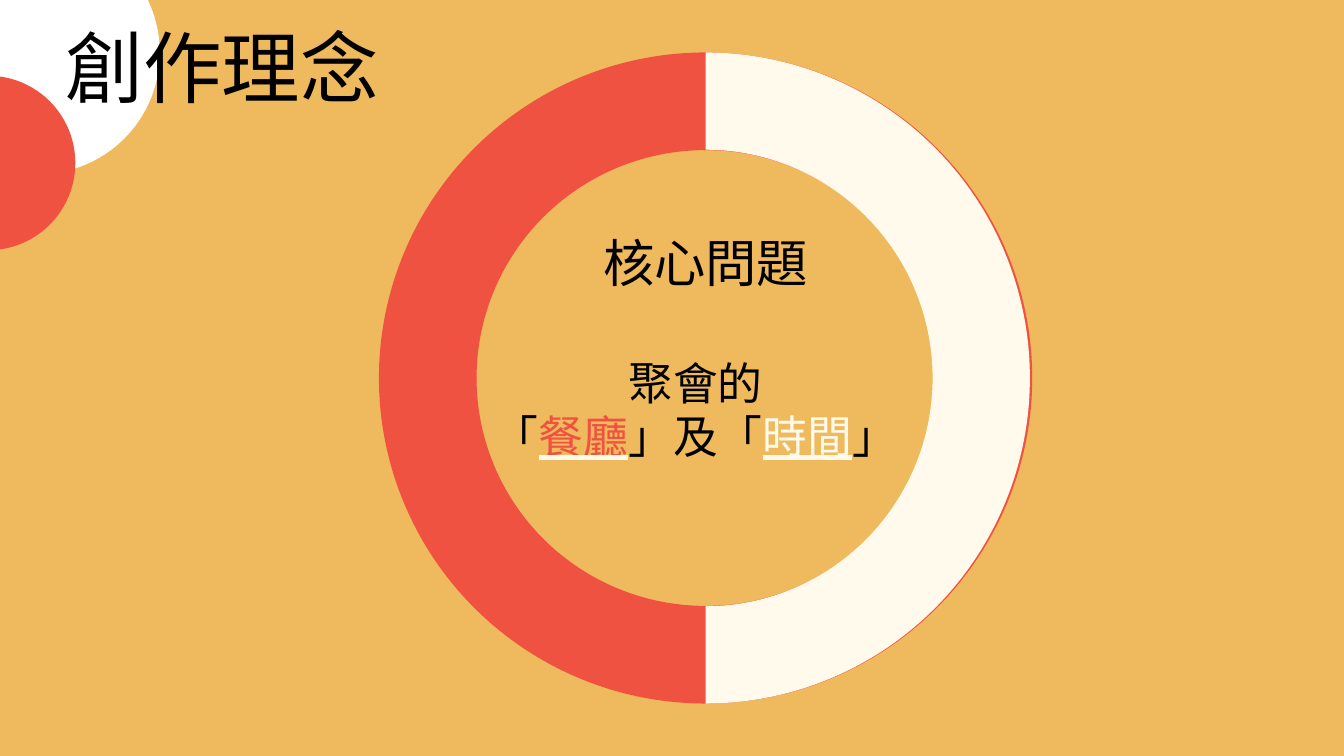
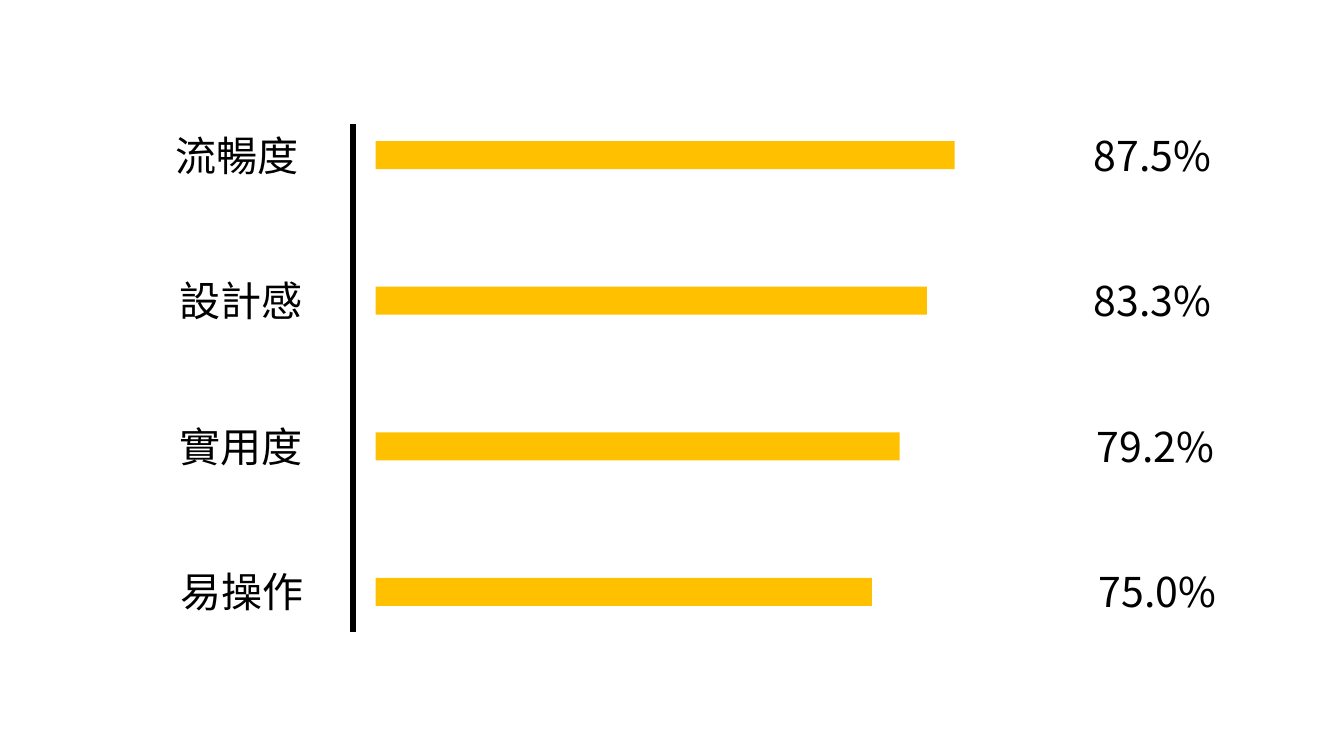
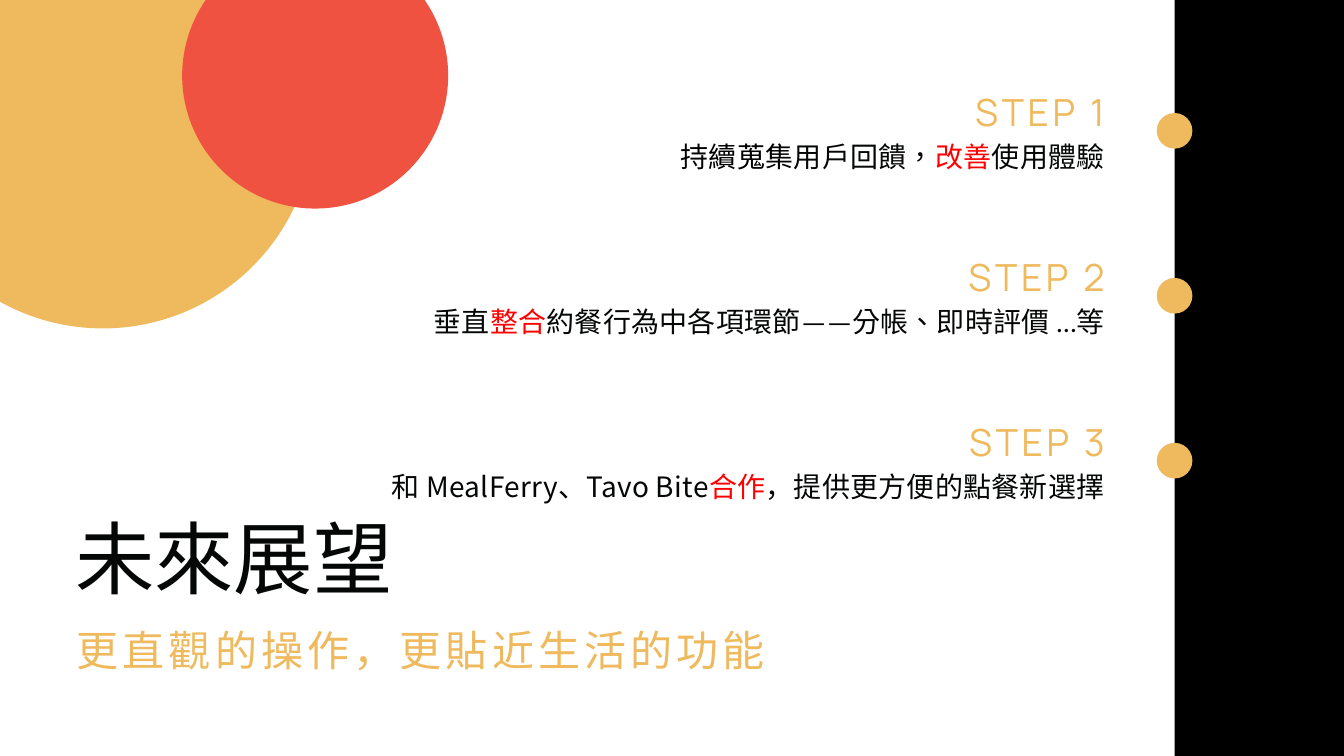
from dataclasses import dataclass
from typing import Optional, Sequence

from lxml.etree import SubElement
from pptx import Presentation
from pptx.dml.color import RGBColor
from pptx.enum.shapes import MSO_CONNECTOR as Connector, MSO_SHAPE as Preset
from pptx.enum.text import MSO_ANCHOR as Anchor, MSO_AUTO_SIZE as AutoSize, PP_ALIGN as Align
from pptx.oxml.ns import qn
from pptx.shapes.autoshape import Shape
from pptx.slide import Slide
from pptx.util import Pt

TITLE_ONLY, BLANK = 5, 6


@dataclass(frozen=True)
class Theme:
    gold: RGBColor = RGBColor(0xEF, 0xB9, 0x5D)
    coral: RGBColor = RGBColor(0xEF, 0x52, 0x41)
    cream: RGBColor = RGBColor(0xFF, 0xFA, 0xEB)
    white: RGBColor = RGBColor(0xFF, 0xFF, 0xFF)
    black: RGBColor = RGBColor(0, 0, 0)
    ink: RGBColor = RGBColor(0x05, 0x07, 0x07)
    amber: RGBColor = RGBColor(0xFF, 0xC0, 0x00)
    accent: RGBColor = RGBColor(0xFF, 0, 0)
    cjk: str = "Noto Sans CJK SC"
    body: str = "Calibri"
    display: str = "Manrope"
    title: float = 84
    closing_title: float = 85
    heading: float = 55
    question: float = 48
    subtitle: float = 45
    rating: float = 44
    step: float = 40
    step_body: float = 30


THEME = Theme()


@dataclass(frozen=True)
class Box:
    left: float
    top: float
    width: float
    height: float


@dataclass(frozen=True)
class Style:
    size: float
    font: str
    color: RGBColor
    line: Optional[float] = None
    align: Align = Align.LEFT
    tracking: float = 0


@dataclass(frozen=True)
class Words:
    text: str
    color: Optional[RGBColor] = None
    underline: Optional[RGBColor] = None


@dataclass(frozen=True)
class Rating:
    label: str
    percent: float
    label_left: float
    value_left: float


@dataclass(frozen=True)
class Step:
    words: Sequence[Words]
    font: str
    width: float


RATINGS = (
    Rating("流暢度", 87.5, 181, 1165),
    Rating("設計感", 83.3, 185, 1165),
    Rating("實用度", 79.2, 185, 1168),
    Rating("易操作", 75.0, 186, 1170),
)

STEPS = (
    Step((Words("持續蒐集", THEME.black), Words("用戶回饋，"),
          Words("改善", THEME.accent), Words("使用體驗")), THEME.body, 463.7),
    Step((Words("垂直"), Words("整合", THEME.accent),
          Words("約餐行為中各項環節——分帳、即時評價 …等")), THEME.body, 766.8),
    Step((Words("和 MealFerry、Tavo Bite"), Words("合作", THEME.accent),
          Words("，提供更方便的點餐新選擇")), THEME.cjk, 891.4),
)


def place(shape: Shape, box: Box) -> None:
    shape.left, shape.top = Pt(box.left), Pt(box.top)
    shape.width, shape.height = Pt(box.width), Pt(box.height)


def write(shape: Shape, lines: Sequence[Sequence[Words]], style: Style,
          inset: bool = False) -> None:
    frame = shape.text_frame
    frame.word_wrap = True
    frame.auto_size = AutoSize.SHAPE_TO_FIT_TEXT
    frame.vertical_anchor = Anchor.TOP
    if not inset:
        frame.margin_left = frame.margin_right = 0
        frame.margin_top = frame.margin_bottom = 0
    for index, line in enumerate(lines):
        paragraph = frame.add_paragraph() if index else frame.paragraphs[0]
        paragraph.alignment = style.align
        if style.line:
            paragraph.line_spacing = Pt(style.line)
        for words in line:
            run = paragraph.add_run()
            run.text = words.text
            run.font.size = Pt(style.size)
            run.font.name = style.font
            run.font.color.rgb = words.color or style.color
            props = run.font._element
            SubElement(props, qn("a:ea")).set("typeface", style.font)
            if style.font == THEME.body:
                props.set("lang", "zh-TW")
            if style.tracking:
                props.set("spc", str(round(style.tracking * 100)))
            if words.underline:
                run.font.underline = True
                stroke = SubElement(props, qn("a:uFill"))
                solid = SubElement(stroke, qn("a:solidFill"))
                SubElement(solid, qn("a:srgbClr")).set("val", str(words.underline))
                props.find(qn("a:latin")).addprevious(stroke)


def add_text(slide: Slide, box: Box, lines: Sequence[Sequence[Words]],
             style: Style, inset: bool = False) -> None:
    area = slide.shapes.add_textbox(0, 0, 0, 0)
    place(area, box)
    write(area, lines, style, inset)
    place(area, box)


def add_title(slide: Slide, box: Box, text: str, style: Style) -> None:
    title = slide.shapes.title
    title.element.getparent().append(title.element)
    write(title, [[Words(text)]], style)
    place(title, box)


def add_filled(slide: Slide, preset: Preset, box: Box, color: RGBColor) -> Shape:
    shape = slide.shapes.add_shape(preset, 0, 0, 0, 0)
    place(shape, box)
    shape.shadow.inherit = False
    shape.fill.solid()
    shape.fill.fore_color.rgb = color
    shape.line.fill.background()
    return shape


def add_disc(slide: Slide, x: float, y: float, diameter: float, color: RGBColor) -> None:
    box = Box(x - diameter / 2, y - diameter / 2, diameter, diameter)
    add_filled(slide, Preset.OVAL, box, color)


def new_slide(deck: Presentation, layout: int, color: RGBColor) -> Slide:
    slide = deck.slides.add_slide(deck.slide_layouts[layout])
    slide.background.fill.solid()
    slide.background.fill.fore_color.rgb = color
    return slide


def build_concept(deck: Presentation) -> None:
    slide = new_slide(deck, TITLE_ONLY, THEME.gold)
    thickness = 0.15
    ring = add_filled(slide, Preset.DONUT, Box(406, 56.2, 700, 697.6), THEME.coral)
    ring.adjustments[0] = thickness
    half = add_filled(slide, Preset.BLOCK_ARC, Box(408.5, 56.2, 695, 697.6), THEME.cream)
    for index, value in enumerate((162, 54, thickness)):
        half.adjustments[index] = value

    add_text(slide, Box(432, 236.9, 648, 82.8), [[Words("核心問題")]],
             Style(THEME.heading, THEME.body, THEME.black, 77, Align.CENTER))
    question = [
        [Words("聚會的")],
        [Words("「"), Words("餐廳", THEME.coral, THEME.cream), Words("」及「"),
         Words("時間", THEME.cream, THEME.cream), Words("」")],
    ]
    add_text(slide, Box(527.8, 383, 434.9, 113), question,
             Style(THEME.question, THEME.body, THEME.black, 56, Align.CENTER))

    add_disc(slide, 41, 56.4, 260.5, THEME.white)
    add_title(slide, Box(69.8, 28.8, 675.4, 95), "創作理念",
              Style(THEME.title, THEME.cjk, THEME.black, 92.4))
    add_disc(slide, -12.8, 174.6, 187, THEME.coral)


def build_ratings(deck: Presentation) -> None:
    slide = new_slide(deck, BLANK, THEME.white)
    pitch, points_per_percent = 156, 7.09
    style = Style(THEME.rating, THEME.cjk, THEME.black)
    axis = slide.shapes.add_connector(Connector.STRAIGHT, Pt(378), Pt(132.5), Pt(378), Pt(677.5))
    axis.line.color.rgb = THEME.black
    axis.line.width = Pt(6)
    SubElement(axis.element.spPr, qn("a:effectLst"))
    for row, rating in enumerate(RATINGS):
        top = 135.8 + row * pitch
        bar = Box(402.5, top + 15.4, rating.percent * points_per_percent, 30)
        add_filled(slide, Preset.RECTANGLE, bar, THEME.amber)
        for left, text in ((rating.label_left, rating.label),
                           (rating.value_left, f"{rating.percent:.1f}%")):
            add_text(slide, Box(left, top, 154.8, 60), [[Words(text)]], style, inset=True)


def build_outlook(deck: Presentation) -> None:
    slide = new_slide(deck, TITLE_ONLY, THEME.white)
    band_left, text_right, pitch = 1258.5, 1183.7, 176.7
    add_filled(slide, Preset.RECTANGLE, Box(band_left, -13.7, 196.6, 837.4), THEME.black)
    add_title(slide, Box(80.6, 553.7, 743.8, 95), "未來展望",
              Style(THEME.closing_title, THEME.cjk, THEME.ink, 93.5))
    add_text(slide, Box(82, 669.6, 743.8, 54.7), [[Words("更直觀的操作，更貼近生活的功能")]],
             Style(THEME.subtitle, THEME.cjk, THEME.gold, 54, tracking=4.5))

    heading = Style(THEME.step, THEME.display, THEME.gold, 52, Align.RIGHT, 4)
    for row, step in enumerate(STEPS):
        top = 91.4 + row * pitch
        left = text_right - step.width
        add_disc(slide, band_left, top + 48.8, 38.2, THEME.gold)
        add_text(slide, Box(left, top, step.width, 51), [[Words(f"STEP {row + 1}")]], heading)
        add_text(slide, Box(left, top + 49.5, step.width, 41.5), [step.words],
                 Style(THEME.step_body, step.font, THEME.ink, 45, Align.RIGHT, 0.3))

    add_disc(slide, 110.2, 124.9, 454, THEME.gold)
    add_disc(slide, 337.7, 81, 285, THEME.coral)


def main() -> None:
    deck = Presentation()
    deck.slide_width, deck.slide_height = Pt(1440), Pt(810)
    build_concept(deck)
    build_ratings(deck)
    build_outlook(deck)
    deck.save("out.pptx")


if __name__ == "__main__":
    main()
